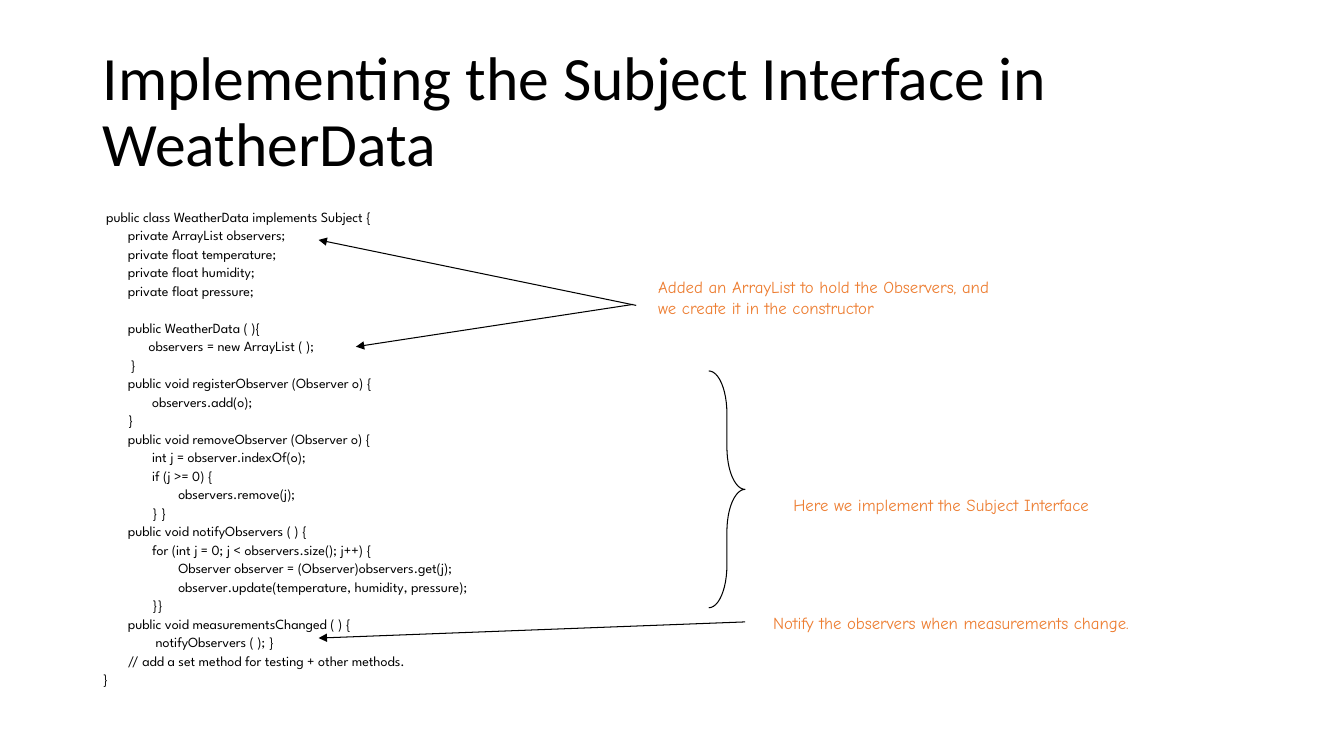
"""Build the slide on the Subject interface in WeatherData."""
from dataclasses import dataclass

from lxml.etree import SubElement as Sub
from pptx import Presentation as Deck
from pptx.dml.color import RGBColor as Rgb
from pptx.enum.shapes import MSO_CONNECTOR as Link, MSO_SHAPE as Kind
from pptx.enum.text import MSO_ANCHOR as Anchor
from pptx.oxml.ns import qn
from pptx.slide import Slide
from pptx.text.text import TextFrame as Frame
from pptx.util import Emu, Pt

PX = 9144


@dataclass(frozen=True)
class Style:
    font: str
    size: int
    color: Rgb


@dataclass(frozen=True)
class Theme:
    ink: Rgb = Rgb(0, 0, 0)
    title: Style = Style("Calibri", 44, Rgb(0, 0, 0))
    code: Style = Style("League Spartan", 10, Rgb(0, 0, 0))
    note: Style = Style("Comic Neue", 12, Rgb(0xED, 0x7D, 0x31))
    line: float = 0.75
    gap: float = 13.2


@dataclass(frozen=True)
class Box:
    left: int
    top: int
    width: int
    height: int

    def emu(self) -> list[Emu]:
        return [px(n) for n in (self.left, self.top, self.width, self.height)]


@dataclass(frozen=True)
class Note:
    text: str
    box: Box


@dataclass(frozen=True)
class Arrow:
    start: tuple[int, int]
    end: tuple[int, int]


THEME = Theme()
TITLE = Note("Implementing the Subject Interface in WeatherData", Box(92, 40, 1150, 145))
CODE_BOX = Box(92, 200, 1150, 525)
BRACE = Box(703, 368, 36, 235)
NOTES = (
    Note("Added an ArrayList to hold the Observers, and we create it in the constructor",
         Box(643, 270, 356, 50)),
    Note("Notify the observers when measurements change.", Box(757, 603, 413, 30)),
    Note("Here we implement the Subject Interface", Box(777, 486, 354, 30)),
)
ARROWS = (
    Arrow((631, 303), (316, 238)),
    Arrow((628, 302), (353, 344)),
    Arrow((739, 617), (316, 633)),
)
FIELDS = (
    " public class WeatherData implements Subject {",
    "    \tprivate ArrayList observers;",
    "\tprivate float temperature;",
    "\tprivate float humidity;",
    "\tprivate float pressure;",
)
METHODS = (
    " \tpublic WeatherData ( ){",
    "\t      observers = new ArrayList ( );",
    "        }",
    "       \tpublic void registerObserver (Observer o) {",
    "\t       observers.add(o);",
    "\t}",
    " \tpublic void removeObserver (Observer o) {",
    "\t       int j = observer.indexOf(o);",
    "\t       if (j >= 0) {",
    "\t          \tobservers.remove(j);",
    "\t       } }",
    "\tpublic void notifyObservers ( ) {",
    "\t       for (int j = 0; j < observers.size(); j++) {",
    "\t\tObserver observer = (Observer)observers.get(j);",
    "\t\tobserver.update(temperature, humidity, pressure);",
    "\t       }}",
    "\tpublic void measurementsChanged ( ) {",
    "\t        notifyObservers ( ); }",
    "\t// add a set method for testing + other methods.",
    "}",
)


def px(count: int) -> Emu:
    return Emu(count * PX)


def add_text(slide: Slide, box: Box, lines: tuple[str, ...], style: Style,
             space: float = 1.0) -> Frame:
    frame = slide.shapes.add_textbox(*box.emu()).text_frame
    frame.word_wrap = True
    for i, line in enumerate(lines):
        para = frame.add_paragraph() if i else frame.paragraphs[0]
        para.line_spacing = space
        run = para.add_run()
        run.text = line
        run.font.name = style.font
        run.font.size = Pt(style.size)
        run.font.color.rgb = style.color
    return frame


def add_title(slide: Slide) -> None:
    frame = add_text(slide, TITLE.box, (TITLE.text,), THEME.title, 0.9)
    frame.vertical_anchor = Anchor.MIDDLE


def add_code(slide: Slide) -> None:
    frame = add_text(slide, CODE_BOX, FIELDS + METHODS, THEME.code, 1.1)
    for para in frame.paragraphs:
        props = para._p.get_or_add_pPr()
        props.set("marL", str(px(25)))
        props.set("indent", str(px(-25)))
    frame.paragraphs[len(FIELDS)].space_before = Pt(THEME.gap)


def add_arrow(slide: Slide, arrow: Arrow) -> None:
    ends = [px(n) for n in arrow.start + arrow.end]
    link = slide.shapes.add_connector(Link.STRAIGHT, *ends)
    link.line.color.rgb = THEME.ink
    link.line.width = Pt(THEME.line)
    Sub(link.line._get_or_add_ln(), qn("a:tailEnd"), type="triangle")
    Sub(link._element.spPr, qn("a:effectLst"))


def add_brace(slide: Slide) -> None:
    brace = slide.shapes.add_shape(Kind.RIGHT_BRACE, *BRACE.emu())
    brace.adjustments[0] = 1.17
    brace.adjustments[1] = 0.5
    brace.shadow.inherit = False
    brace.fill.background()
    brace.line.color.rgb = THEME.ink
    brace.line.width = Pt(THEME.line)


def main() -> None:
    deck = Deck()
    deck.slide_width, deck.slide_height = px(1333), px(750)
    slide = deck.slides.add_slide(deck.slide_layouts[6])
    add_title(slide)
    add_code(slide)
    for arrow in ARROWS:
        add_arrow(slide, arrow)
    for note in NOTES:
        add_text(slide, note.box, (note.text,), THEME.note)
    add_brace(slide)
    deck.save("out.pptx")


if __name__ == "__main__":
    main()
